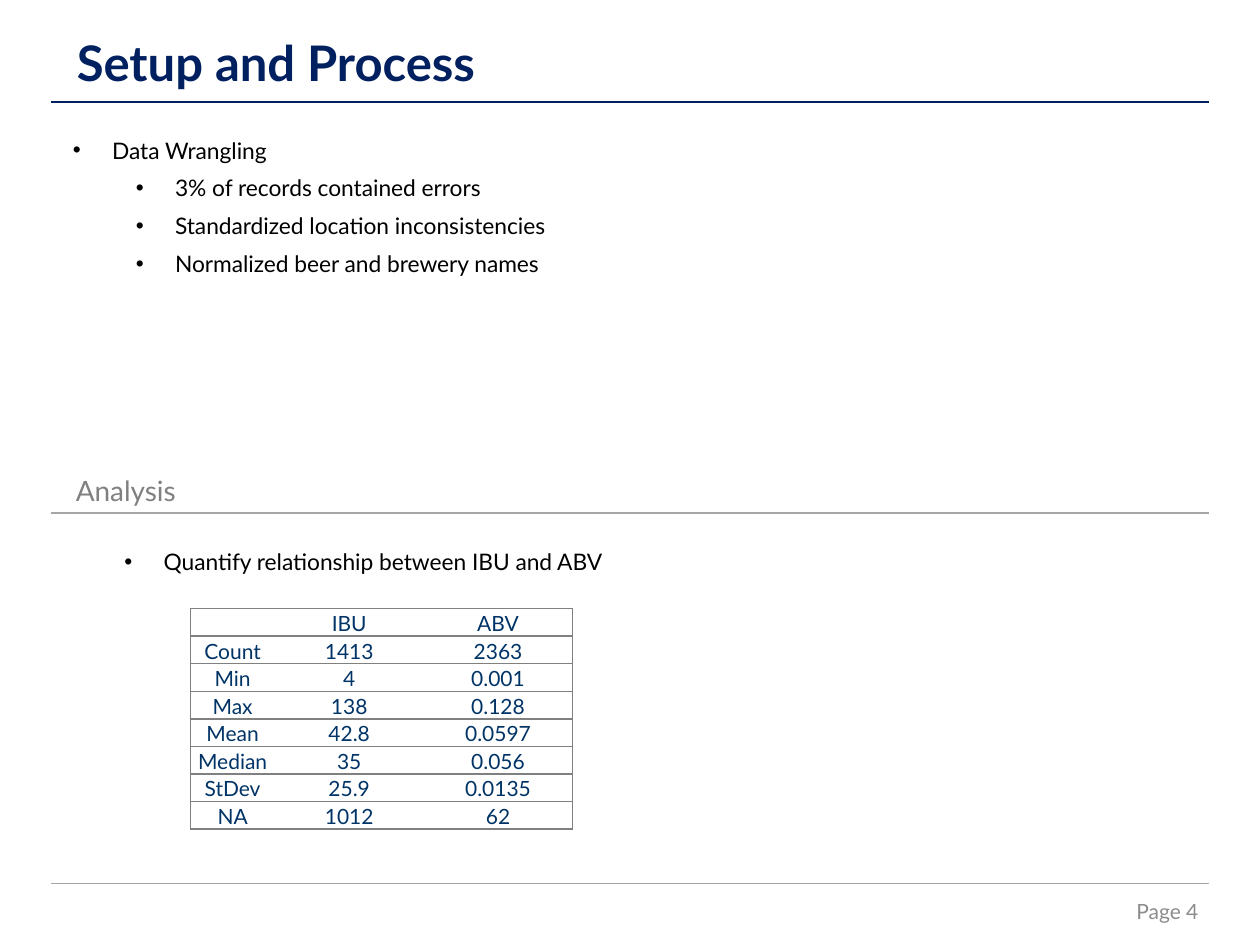
import pptx
import pptx.dml.color
import pptx.enum.shapes
import pptx.enum.text
import pptx.oxml.ns
import pptx.util
from lxml import etree

Cm, Pt = pptx.util.Cm, pptx.util.Pt
ALIGN = pptx.enum.text.PP_ALIGN
ANCHOR = pptx.enum.text.MSO_ANCHOR
qn = pptx.oxml.ns.qn

# Content: places in cm as left, top, width, height; insets as left, top, right, bottom
NAVY, GREY, RULE_GREY = "002060", "808080", "A6A6A6"
PLAIN = (0.25, 0.13, 0.25, 0.13)
LABELS = [
    ("Setup and Process", (1.04, 0.53, 22.38, 1.45), (0.51, 0.13, 0.25, 0.13),
     ANCHOR.BOTTOM, ALIGN.LEFT, dict(size=Pt(28), bold=True), NAVY),
    ("Page 4", (18.69, 17.86, 5.72, 1.02), PLAIN,
     ANCHOR.MIDDLE, ALIGN.RIGHT, dict(size=Pt(12)), "8C8C8C"),
    ("Analysis", (1.02, 9.32, 23.37, 1.12), (0.51, 0.25, 0.51, 0.25),
     ANCHOR.MIDDLE, ALIGN.LEFT, dict(size=Pt(16)), GREY),
]
RULES = [(2.06, NAVY), (10.34, RULE_GREY), (17.81, RULE_GREY)]
RULE_LEFT, RULE_RIGHT = 1.02, 24.38
BULLETS = [
    ((1.22, 2.62, 12.07, 3.51), [
        (0, "Data Wrangling"),
        (1, "3% of records contained errors"),
        (1, "Standardized location inconsistencies"),
        (1, "Normalized beer and brewery names"),
    ]),
    ((0.99, 10.92, 12.29, 0.81), [(1, "Quantify relationship between IBU and ABV")]),
]
STATISTICS = [
    ("", "IBU", "ABV"),
    ("Count", "1413", "2363"),
    ("Min", "4", "0.001"),
    ("Max", "138", "0.128"),
    ("Mean", "42.8", "0.0597"),
    ("Median", "35", "0.056"),
    ("StDev", "25.9", "0.0135"),
    ("NA", "1012", "62"),
]
TABLE_LEFT, TABLE_TOP, ROW_HEIGHT = 3.84, 12.27, 0.555
COLUMN_WIDTHS = (1.7, 3, 3)


def paint(color_format, value):
    color_format.rgb = pptx.dml.color.RGBColor.from_string(value)


def apply(target, formats):
    for name, value in formats.items():
        setattr(target, name, value)


def margins(insets):
    sides = ("left", "top", "right", "bottom")
    return {f"margin_{side}": Cm(inset) for side, inset in zip(sides, insets)}


def write(para, text, formats, color):
    span = para.add_run()
    span.text = text
    apply(span.font, {"name": "Lato", **formats})
    paint(span.font.color, color)


def add_box(page, place, insets=PLAIN, anchor=ANCHOR.TOP):
    frame = page.shapes.add_textbox(*map(Cm, place)).text_frame
    apply(frame, {"word_wrap": True, "vertical_anchor": anchor, **margins(insets)})
    return frame


def add_rule(page, top, color):
    rule = page.shapes.add_connector(
        pptx.enum.shapes.MSO_CONNECTOR.STRAIGHT,
        Cm(RULE_LEFT), Cm(top), Cm(RULE_RIGHT), Cm(top))
    rule.line.width = Pt(1)
    paint(rule.line.color, color)
    etree.SubElement(rule._element.spPr, qn("a:effectLst"))


def add_bullets(page, place, items):
    frame = add_box(page, place)
    for index, (level, text) in enumerate(items):
        para = frame.paragraphs[0] if index == 0 else frame.add_paragraph()
        apply(para, dict(level=level, space_after=Pt(6)))
        write(para, text, dict(size=Pt(13)), "000000")
        properties = para._p.get_or_add_pPr()
        properties.set("marL", str(Cm(0.79 + 1.27 * level)))
        properties.set("indent", str(-Cm(0.79)))
        etree.SubElement(properties, qn("a:buFont"), typeface="Arial")
        etree.SubElement(properties, qn("a:buChar"), char="•")


def set_borders(cell, drawn_sides):
    properties = cell._tc.get_or_add_tcPr()
    for position, side in enumerate("LRTB"):
        line = etree.Element(qn(f"a:ln{side}"), w=str(Pt(1)))
        if side in drawn_sides:
            fill = etree.SubElement(line, qn("a:solidFill"))
            etree.SubElement(fill, qn("a:srgbClr"), val=GREY)
        else:
            etree.SubElement(line, qn("a:noFill"))
        properties.insert(position, line)


def add_statistics(page):
    rows, columns = len(STATISTICS), len(COLUMN_WIDTHS)
    table = page.shapes.add_table(
        rows, columns, Cm(TABLE_LEFT), Cm(TABLE_TOP),
        Cm(sum(COLUMN_WIDTHS)), Cm(ROW_HEIGHT * rows)).table
    apply(table, dict(first_row=False, horz_banding=False))
    for column, width in zip(table.columns, COLUMN_WIDTHS):
        column.width = Cm(width)
    outer_sides = {0: "L", columns - 1: "R"}
    for row, values in enumerate(STATISTICS):
        table.rows[row].height = Cm(ROW_HEIGHT)
        for column, text in enumerate(values):
            cell = table.cell(row, column)
            apply(cell, {"vertical_anchor": ANCHOR.BOTTOM,
                         **margins((0.03, 0.03, 0.03, 0))})
            cell.fill.solid()
            paint(cell.fill.fore_color, "FFFFFF")
            set_borders(cell, "TB" + outer_sides.get(column, ""))
            para = cell.text_frame.paragraphs[0]
            para.alignment = ALIGN.CENTER
            if text:
                write(para, text, dict(size=Pt(12)), "003366")
            else:  # keeps the empty cell from stretching its row
                etree.SubElement(para._p, qn("a:endParaRPr"), sz="1200")


def main():
    deck = pptx.Presentation()
    apply(deck, dict(slide_width=Cm(25.4), slide_height=Cm(19.05)))
    page = deck.slides.add_slide(deck.slide_layouts[6])

    # Headings, page number and rules
    for text, place, insets, anchor, alignment, formats, color in LABELS:
        para = add_box(page, place, insets, anchor).paragraphs[0]
        para.alignment = alignment
        write(para, text, formats, color)
    for top, color in RULES:
        add_rule(page, top, color)

    # Body
    for place, items in BULLETS:
        add_bullets(page, place, items)
    add_statistics(page)
    deck.save("out.pptx")


if __name__ == "__main__":
    main()
